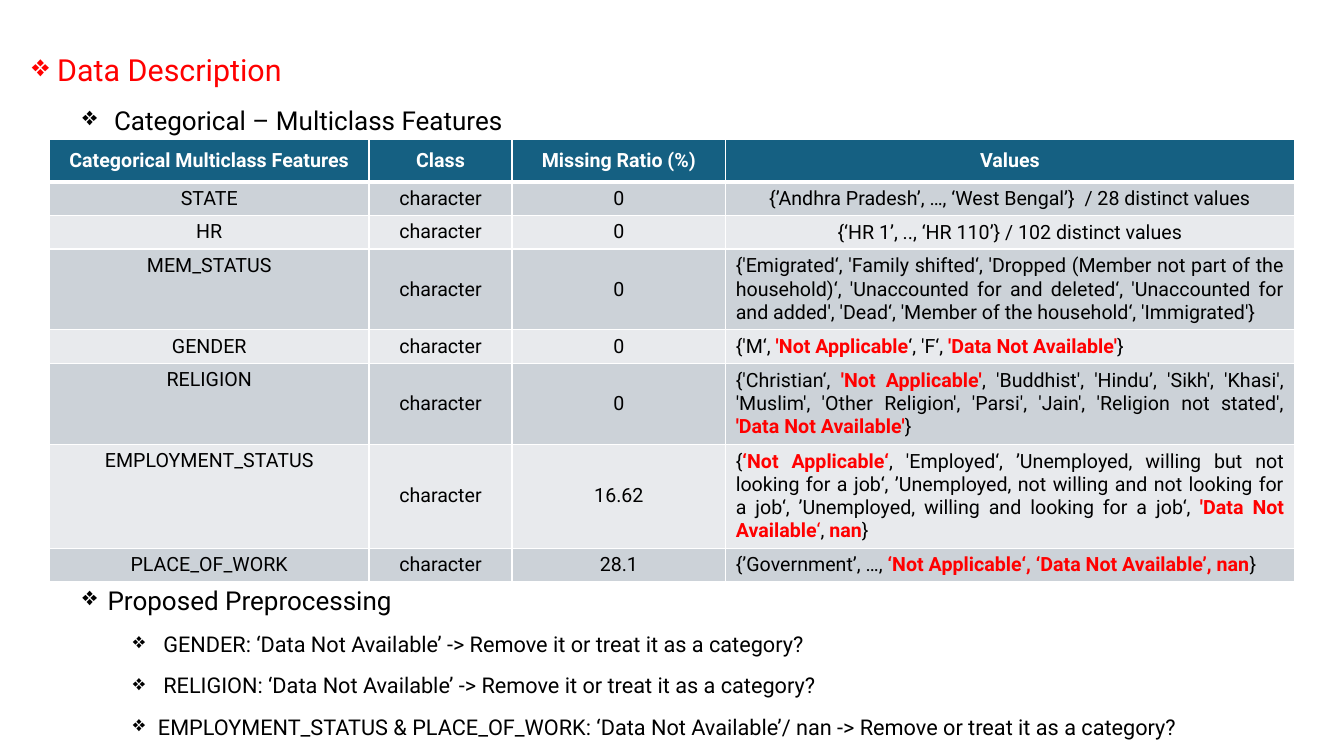
from lxml import etree
from pptx import Presentation
from pptx.dml.color import RGBColor
from pptx.enum import text as t
from pptx.oxml import ns
from pptx.util import Pt

BLACK = RGBColor(0x00, 0x00, 0x00)
WHITE = RGBColor(0xFF, 0xFF, 0xFF)
RED = RGBColor(0xFF, 0x00, 0x00)
TEAL = RGBColor(0x15, 0x60, 0x82)
GREY = RGBColor(0xCC, 0xD2, 0xD8)
PALE = RGBColor(0xE8, 0xEA, 0xED)
FONT = "Roboto"

# Content: outline lines as (level, text)
INTRO = [(0, "Data Description"), (1, " Categorical – Multiclass Features")]
PROPOSALS = [
    (1, "Proposed Preprocessing"),
    (2, " GENDER: ‘Data Not Available’ -> Remove it or treat it as a category?"),
    (2, " RELIGION: ‘Data Not Available’ -> Remove it or treat it as a category?"),
    (2, "EMPLOYMENT_STATUS & PLACE_OF_WORK: ‘Data Not Available’/ nan -> Remove or treat it as a category?"),
]

# Run styles: (colour, bold)
HEAD, PLAIN, FLAG, RED_ONLY = (WHITE, True), (BLACK, False), (RED, True), (RED, False)

# Content: feature, class, missing ratio, lines of values, runs of values
HEADINGS = ["Categorical Multiclass Features", "Class", "Missing Ratio (%)", "Values"]
FEATURES = [
    ("STATE", "character", "0", 1,
     [("{’Andhra Pradesh’, …, ‘West Bengal’}  / 28 distinct values", PLAIN)]),
    ("HR", "character", "0", 1,
     [("{‘HR 1’, .., ‘HR 110’} / 102 distinct values", PLAIN)]),
    ("MEM_STATUS", "character", "0", 3,
     [("{'Emigrated‘, 'Family shifted‘, 'Dropped (Member not part of the household)‘, "
       "'Unaccounted for and deleted‘, 'Unaccounted for and added', 'Dead‘, "
       "'Member of the household‘, 'Immigrated'}", PLAIN)]),
    ("GENDER", "character", "0", 1,
     [("{'M‘, ", PLAIN), ("'Not Applicable", FLAG), ("‘, 'F‘, ", PLAIN),
      ("'Data Not Available'", FLAG), ("}", PLAIN)]),
    ("RELIGION", "character", "0", 3,
     [("{'Christian‘, ", PLAIN), ("'Not Applicable'", FLAG),
      (", 'Buddhist', 'Hindu’, 'Sikh', 'Khasi', 'Muslim', 'Other Religion', 'Parsi', "
       "'Jain', 'Religion not stated', ", PLAIN),
      ("'Data Not Available'", FLAG), ("}", PLAIN)]),
    ("EMPLOYMENT_STATUS", "character", "16.62", 4,
     [("{", PLAIN), ("‘Not Applicable‘", FLAG),
      (", 'Employed‘, ’Unemployed, willing but not looking for a job‘, "
       "’Unemployed, not willing and not looking for a job‘, "
       "’Unemployed, willing and looking for a job‘, ", PLAIN),
      ("'Data Not Available", FLAG), ("‘", RED_ONLY), (", ", PLAIN),
      ("nan", FLAG), ("}", PLAIN)]),
    ("PLACE_OF_WORK", "character", "28.1", 1,
     [("{’Government’, …, ", PLAIN),
      ("‘Not Applicable‘, ‘Data Not Available’, nan", FLAG), ("}", PLAIN)]),
]
CENTRED_VALUES = {"STATE", "HR"}

# Layout in points
OUTLINE_LEFT, OUTLINE_WIDTH = 15.8, 889
INTRO_TOP, INTRO_HEIGHT = 25.2, 74
PROPOSALS_TOP, PROPOSALS_HEIGHT = 407, 130
LEVELS = [(21.7, RED, 18, 10), (18.6, BLACK, 54, 5), (15.5, BLACK, 90, 5.4)]  # size, colour, indent, gap
HANGING = 18
TABLE_LEFT, TABLE_TOP = 35.4, 99.6
COLUMN_WIDTHS = [228.2, 102.2, 152.6, 406.1]
HEADING_HEIGHT, ROW_HEIGHT, LINE_HEIGHT = 30.2, 23.6, 16.5
CELL_SIZE = 14


def style_run(run, size, colour, bold=False):
    run.font.name, run.font.size, run.font.bold = FONT, Pt(size), bold
    run.font.color.rgb = colour


def add_outline(slide, top, height, lines):
    frame = slide.shapes.add_textbox(
        Pt(OUTLINE_LEFT), Pt(top), Pt(OUTLINE_WIDTH), Pt(height)).text_frame
    frame.word_wrap = True
    frame.text = "\n".join(line for _, line in lines)
    for paragraph, (level, _) in zip(frame.paragraphs, lines):
        size, colour, indent, gap = LEVELS[level]
        paragraph.level = level
        paragraph.line_spacing = 1.3
        paragraph.space_before = Pt(gap)
        style_run(paragraph.runs[0], size, colour)
        properties = paragraph._p.get_or_add_pPr()
        properties.set("marL", str(Pt(indent)))
        properties.set("indent", str(-Pt(HANGING)))
        etree.SubElement(properties, ns.qn("a:buChar")).set("char", "❖")


def add_borders(cell, widths):
    properties = cell._tc.get_or_add_tcPr()
    for side, width in zip("LRTB", widths):
        line = etree.SubElement(properties, ns.qn(f"a:ln{side}"), w=str(Pt(width)))
        solid = etree.SubElement(line, ns.qn("a:solidFill"))
        etree.SubElement(solid, ns.qn("a:srgbClr"), val=str(WHITE))


def fill_cell(cell, runs, align, fill, borders):
    add_borders(cell, borders)
    cell.fill.solid()
    cell.fill.fore_color.rgb = fill
    paragraph = cell.text_frame.paragraphs[0]
    paragraph.alignment = align
    for words, (colour, bold) in runs:
        run = paragraph.add_run()
        run.text = words
        style_run(run, CELL_SIZE, colour, bold)


def add_features(slide):
    heights = [HEADING_HEIGHT] + [ROW_HEIGHT + (f[3] - 1) * LINE_HEIGHT for f in FEATURES]
    table = slide.shapes.add_table(
        len(heights), len(COLUMN_WIDTHS), Pt(TABLE_LEFT), Pt(TABLE_TOP),
        Pt(sum(COLUMN_WIDTHS)), Pt(sum(heights))).table
    table.first_row = table.horz_banding = False
    for column, width in zip(table.columns, COLUMN_WIDTHS):
        column.width = Pt(width)
    for row, height in zip(table.rows, heights):
        row.height = Pt(height)

    # Heading row
    for c, heading in enumerate(HEADINGS):
        cell = table.cell(0, c)
        cell.vertical_anchor = t.MSO_ANCHOR.MIDDLE
        fill_cell(cell, [(heading, HEAD)], t.PP_ALIGN.CENTER, TEAL, (1, 1, 1, 3))

    # Feature rows
    for r, (feature, kind, missing, _, values) in enumerate(FEATURES, 1):
        columns = [[(words, PLAIN)] for words in (feature, kind, missing)] + [values]
        for c, runs in enumerate(columns):
            cell = table.cell(r, c)
            justified = c == 3 and feature not in CENTRED_VALUES
            align = t.PP_ALIGN.JUSTIFY if justified else t.PP_ALIGN.CENTER
            if c:
                cell.vertical_anchor = t.MSO_ANCHOR.MIDDLE
            fill_cell(cell, runs, align, GREY if r % 2 else PALE,
                      (1, 1, 3 if r == 1 else 1, 1))

    # Tight margins around the HR values
    hr_values = table.cell(2, 3)
    hr_values.margin_left = hr_values.margin_right = hr_values.margin_top = Pt(0.7)
    hr_values.margin_bottom = 0


def main():
    prs = Presentation()
    prs.slide_width, prs.slide_height = Pt(960), Pt(540)
    slide = prs.slides.add_slide(prs.slide_layouts[6])
    add_outline(slide, INTRO_TOP, INTRO_HEIGHT, INTRO)
    add_outline(slide, PROPOSALS_TOP, PROPOSALS_HEIGHT, PROPOSALS)
    add_features(slide)
    prs.save("out.pptx")


if __name__ == "__main__":
    main()
